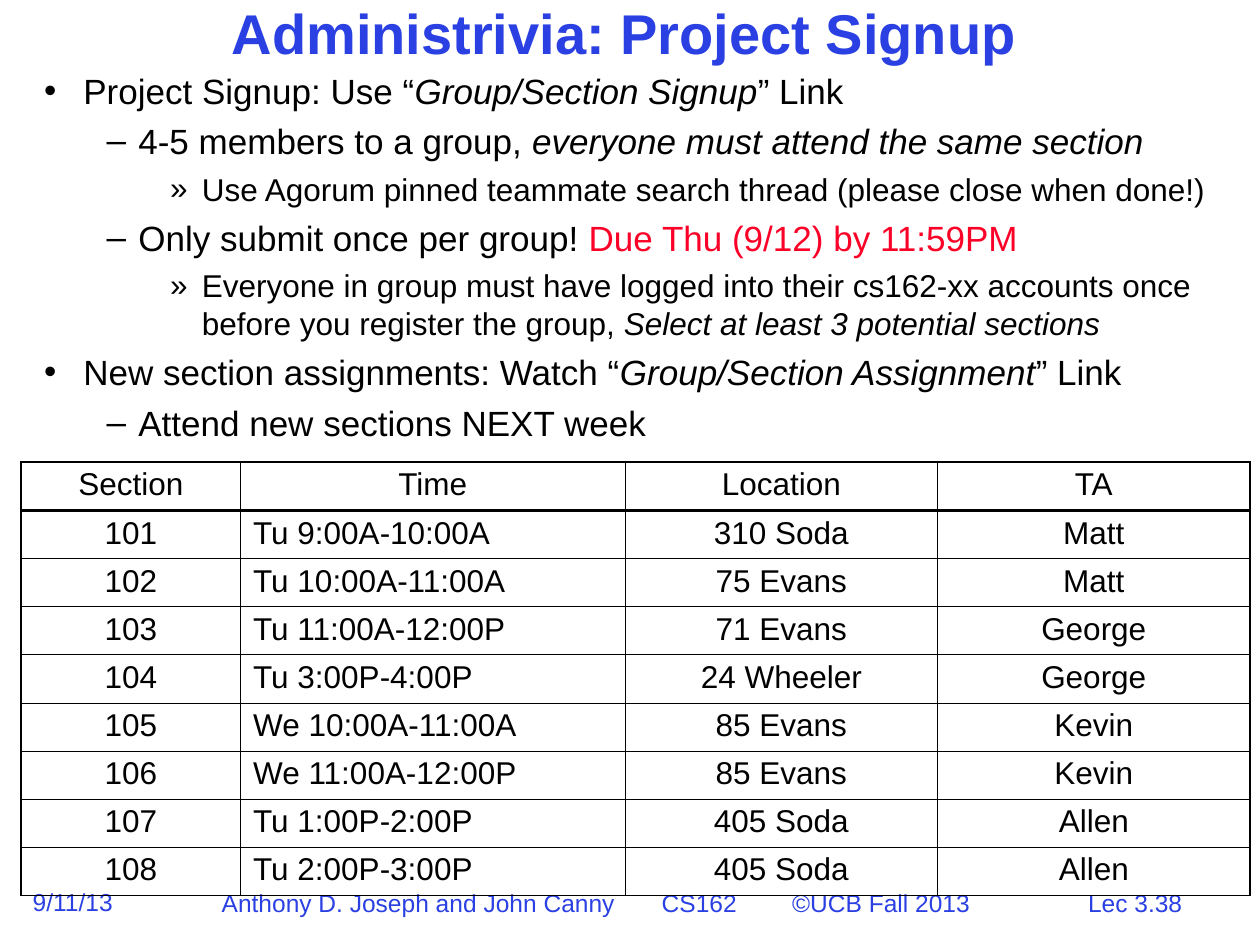
"""Build the project signup slide with its section timetable."""
from lxml.etree import SubElement
from pptx import Presentation
from pptx.dml.color import RGBColor as RGB
from pptx.enum.text import MSO_ANCHOR as Anchor, PP_ALIGN as Align
from pptx.oxml.ns import qn
from pptx.util import Cm, Pt

BLUE = RGB(0x2A, 0x40, 0xE2)
RED = RGB(0xFC, 0x01, 0x28)
BLACK = RGB(0, 0, 0)


def style(par, size, color, bold=False):
    for run in par.runs:
        font = run.font
        font.name, font.size, font.bold = "Arial", Pt(size), bold
        font.color.rgb = color


def edge(cell, side, width):
    line = SubElement(cell._tc.get_or_add_tcPr(), qn("a:" + side), w=str(Pt(width)))
    fill = SubElement(line, qn("a:solidFill"))
    SubElement(fill, qn("a:srgbClr"), val=str(BLACK))


deck = Presentation()
deck.slide_width, deck.slide_height = Cm(25.4), Cm(19.05)
slide = deck.slides.add_slide(deck.slide_layouts[5])
shapes = slide.shapes

title = shapes.title
title.left, title.top, title.width, title.height = Cm(1.47), Cm(0), Cm(22.23), Cm(1.47)
frame = title.text_frame
frame.text = "Administrivia: Project Signup"
frame.vertical_anchor = Anchor.MIDDLE
par = frame.paragraphs[0]
par.alignment, par.line_spacing = Align.CENTER, 0.9
style(par, 32, BLUE, True)

footer = [
    (20.83, 17.78, 4.11, "Lec 3.38", Align.CENTER, []),
    (0.41, 17.75, 2.16, "9/11/13", Align.LEFT, []),
    (4.22, 17.78, 15.6, "Anthony D. Joseph and John Canny\tCS162\t©UCB Fall 2013",
     Align.LEFT, [8.87, 11.5]),
]
for left, top, width, text, align, stops in footer:
    frame = shapes.add_textbox(Cm(left), Cm(top), Cm(width), Cm(0.84)).text_frame
    frame.text = text
    par = frame.paragraphs[0]
    par.alignment = align
    style(par, 14, BLUE)
    if stops:
        tabs = SubElement(par._p.get_or_add_pPr(), qn("a:tabLst"))
        for stop in stops:
            SubElement(tabs, qn("a:tab"), pos=str(Cm(stop)), algn="l")

levels = [("•", 0.79, 0.79, 20, 5), ("–", 1.9, 0.64, 20, 5), ("»", 3.18, 0.64, 18, 4.5)]
points = [
    (0, ["Project Signup: Use “", "Group/Section Signup", "” Link"]),
    (1, ["4-5 members to a group, ", "everyone must attend the same section"]),
    (2, ["Use Agorum pinned teammate search thread (please close when done!)"]),
    (1, ["Only submit once per group! ", "Due Thu (9/12) by 11:59PM"]),
    (2, ["Everyone in group must have logged into their cs162-xx accounts once "
         "before you register the group, ", "Select at least 3 potential sections"]),
    (0, ["New section assignments: Watch “", "Group/Section Assignment", "” Link"]),
    (1, ["Attend new sections NEXT week"]),
]
frame = shapes.add_textbox(Cm(0.64), Cm(1.27), Cm(24.13), Cm(8.26)).text_frame
frame.word_wrap = True
for num, (level, parts) in enumerate(points):
    par = frame.add_paragraph() if num else frame.paragraphs[0]
    mark, left, hang, size, gap = levels[level]
    par.level, par.space_before = level, Pt(gap)
    for part in parts:
        par.add_run().text = part
    style(par, size, BLACK)
    for run in par.runs[1:2]:
        if run.text.startswith("Due"):
            run.font.color.rgb = RED
        else:
            run.font.italic = True
    props = par._p.get_or_add_pPr()
    props.set("marL", str(Cm(left)))
    props.set("indent", str(-Cm(hang)))
    tint = SubElement(props, qn("a:buClr"))
    SubElement(tint, qn("a:srgbClr"), val=str(BLACK))
    SubElement(props, qn("a:buFont"), typeface="Arial")
    SubElement(props, qn("a:buChar"), char=mark)

rows = [
    ("Section", "Time", "Location", "TA"),
    ("101", "Tu 9:00A-10:00A", "310 Soda", "Matt"),
    ("102", "Tu 10:00A-11:00A", "75 Evans", "Matt"),
    ("103", "Tu 11:00A-12:00P", "71 Evans", "George"),
    ("104", "Tu 3:00P-4:00P", "24 Wheeler", "George"),
    ("105", "We 10:00A-11:00A", "85 Evans", "Kevin"),
    ("106", "We 11:00A-12:00P", "85 Evans", "Kevin"),
    ("107", "Tu 1:00P-2:00P", "405 Soda", "Allen"),
    ("108", "Tu 2:00P-3:00P", "405 Soda", "Allen"),
]
widths = [4.42, 7.75, 6.3, 6.3]
high = 0.97
table = shapes.add_table(len(rows), len(widths), Cm(0.43), Cm(9.32),
                         Cm(sum(widths)), Cm(high * len(rows))).table
table.first_row = table.horz_banding = False
for col, width in zip(table.columns, widths):
    col.width = Cm(width)
for r, row in enumerate(rows):
    table.rows[r].height = Cm(high)
    for c, text in enumerate(row):
        cell = table.cell(r, c)
        cell.text = text
        cell.vertical_anchor = Anchor.MIDDLE
        par = cell.text_frame.paragraphs[0]
        par.alignment = Align.LEFT if r and c == 1 else Align.CENTER
        par.line_spacing, par.space_before = 0.9, Pt(6.8)
        style(par, 18, BLACK)
        edge(cell, "lnL", 0.45 if c else 1.08)
        edge(cell, "lnR", 1.08 if c == len(widths) - 1 else 0.45)
        edge(cell, "lnT", {0: 1.08, 1: 1.47}.get(r, 0.45))
        edge(cell, "lnB", 0.45 if r else 1.47)
        cell.fill.background()

deck.save("out.pptx")
